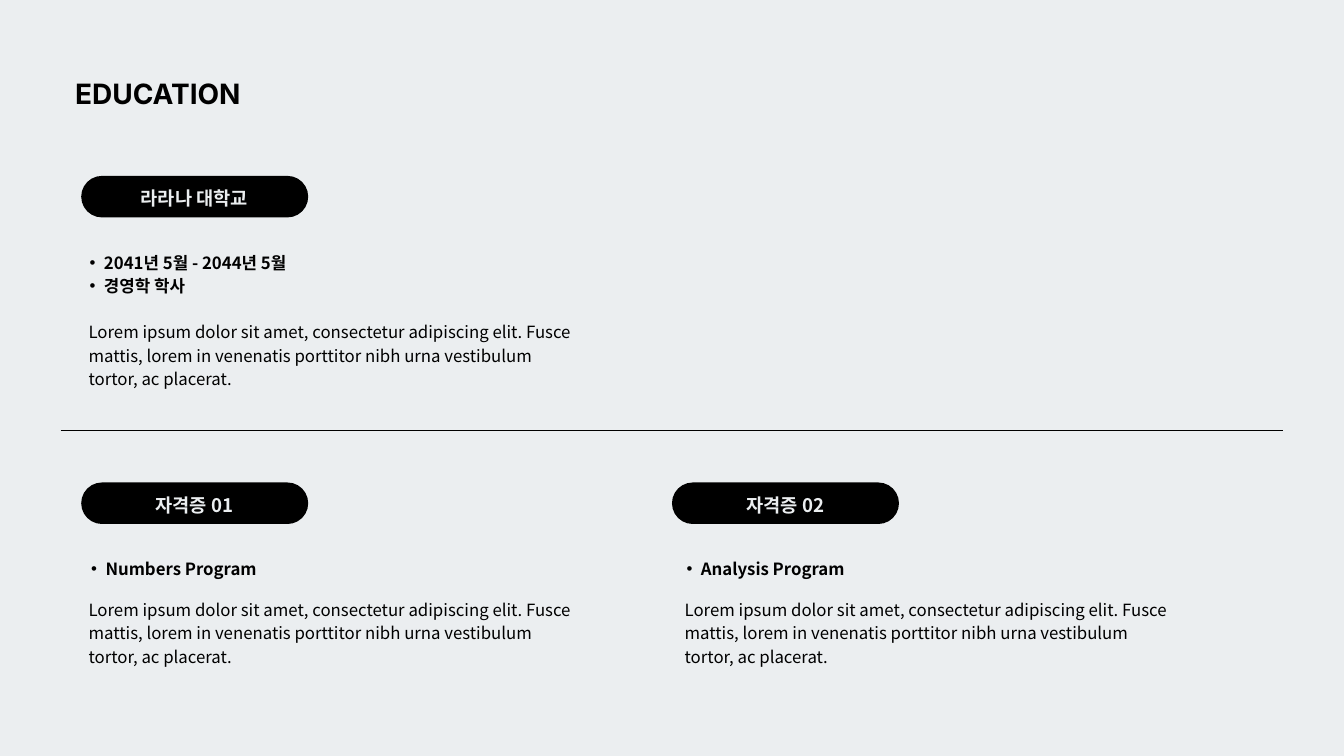
from dataclasses import dataclass

from lxml.etree import SubElement
from pptx import Presentation
from pptx.dml.color import RGBColor
from pptx.enum.shapes import MSO_CONNECTOR, MSO_SHAPE
from pptx.enum.text import PP_ALIGN
from pptx.oxml.ns import qn
from pptx.util import Cm, Pt


@dataclass(frozen=True)
class Theme:
    ink: RGBColor = RGBColor(0x00, 0x00, 0x00)
    paper: RGBColor = RGBColor(0xEB, 0xEE, 0xF0)
    heading_font: str = "Inter"
    text_font: str = "Noto Sans CJK SC"
    heading_size: int = 30
    label_size: int = 20
    text_size: int = 18
    leading: float = 1.4
    rule_width: float = 0.75


@dataclass(frozen=True)
class Box:
    left: float
    top: float
    width: float
    height: float

    def inner(self, left, top, width, height):
        return Box(self.left + left, self.top + top, width, height)

    def lengths(self):
        return Cm(self.left), Cm(self.top), Cm(self.width), Cm(self.height)


@dataclass(frozen=True)
class Entry:
    label: str
    bullets: tuple
    bullet_inset: float
    bullet_width: float
    body_inset: float
    body_top: float


THEME = Theme()
DESCRIPTION = (
    "Lorem ipsum dolor sit amet, consectetur adipiscing elit. Fusce mattis, "
    "lorem in venenatis porttitor nibh urna vestibulum tortor, ac placerat."
)
LEFT_COLUMN, RIGHT_COLUMN = 3.07, 25.4
UPPER_ROW, LOWER_ROW = 6.65, 18.24
COLUMN_WIDTH, ROW_HEIGHT = 19.1, 8
ENTRIES = (
    (LEFT_COLUMN, UPPER_ROW,
     Entry("라라나 대학교", ("2041년 5월 - 2044년 5월", "경영학 학사"), -0.23, 8.1, 0.28, 5.39)),
    (LEFT_COLUMN, LOWER_ROW,
     Entry("자격증 01", ("Numbers Program",), -0.17, 6.86, 0.28, 4.29)),
    (RIGHT_COLUMN, LOWER_ROW,
     Entry("자격증 02", ("Analysis Program",), 0, 6.58, 0.48, 4.29)),
)


def add_bullet(paragraph):
    paragraph.level = 1
    properties = paragraph._p.get_or_add_pPr()
    properties.set("marL", str(Cm(1.09)))
    properties.set("indent", str(Cm(-0.54)))
    SubElement(properties, qn("a:buFont")).set("typeface", "Arial")
    SubElement(properties, qn("a:buChar")).set("char", "•")


def add_text(slide, box, lines, size, font_name=THEME.text_font, color=THEME.ink,
             bold=False, alignment=PP_ALIGN.LEFT, bulleted=False):
    frame = slide.shapes.add_textbox(*box.lengths()).text_frame
    frame.word_wrap = True
    frame.margin_left = frame.margin_top = frame.margin_right = frame.margin_bottom = 0
    for index, line in enumerate(lines):
        paragraph = frame.add_paragraph() if index else frame.paragraphs[0]
        if bulleted:
            add_bullet(paragraph)
        paragraph.alignment = alignment
        paragraph.line_spacing = Pt(size * THEME.leading)
        run = paragraph.add_run()
        run.text = line
        run.font.size = Pt(size)
        run.font.bold = bold
        run.font.color.rgb = color
        run.font.name = font_name
        SubElement(run._r.get_or_add_rPr(), qn("a:ea")).set("typeface", font_name)


def add_heading(slide, box):
    add_text(slide, box, ["EDUCATION"], THEME.heading_size,
             font_name=THEME.heading_font, bold=True)


def add_pill(slide, box, label):
    pill = slide.shapes.add_shape(MSO_SHAPE.ROUNDED_RECTANGLE, *box.lengths())
    pill.adjustments[0] = 0.5
    pill.shadow.inherit = False
    pill.fill.solid()
    pill.fill.fore_color.rgb = THEME.ink
    pill.line.fill.background()
    add_text(slide, box.inner(1.12, 0.28, 6.32, 0.91), [label], THEME.label_size,
             color=THEME.paper, bold=True, alignment=PP_ALIGN.CENTER)


def add_entry(slide, box, entry):
    add_pill(slide, box.inner(0, 0, 8.58, 1.57), entry.label)
    bullet_box = box.inner(entry.bullet_inset, 2.76, entry.bullet_width,
                           0.88 * len(entry.bullets))
    add_text(slide, bullet_box, entry.bullets, THEME.text_size, bold=True, bulleted=True)
    body_box = box.inner(entry.body_inset, entry.body_top, 18.63, 2.62)
    add_text(slide, body_box, [DESCRIPTION], THEME.text_size)


def add_divider(slide, box):
    left, top, width, height = box.lengths()
    divider = slide.shapes.add_connector(
        MSO_CONNECTOR.STRAIGHT, left, top, left + width, top + height)
    divider.line.color.rgb = THEME.ink
    divider.line.width = Pt(THEME.rule_width)
    SubElement(divider._element.spPr, qn("a:effectLst"))


def main():
    presentation = Presentation()
    presentation.slide_width = Cm(50.8)
    presentation.slide_height = Cm(28.58)
    slide = presentation.slides.add_slide(presentation.slide_layouts[6])
    slide.background.fill.solid()
    slide.background.fill.fore_color.rgb = THEME.paper
    add_heading(slide, Box(2.84, 2.67, 6.38, 1.45))
    for left, top, entry in ENTRIES:
        add_entry(slide, Box(left, top, COLUMN_WIDTH, ROW_HEIGHT), entry)
    add_divider(slide, Box(2.29, 16.26, 46.22, 0))
    presentation.save("out.pptx")


if __name__ == "__main__":
    main()
